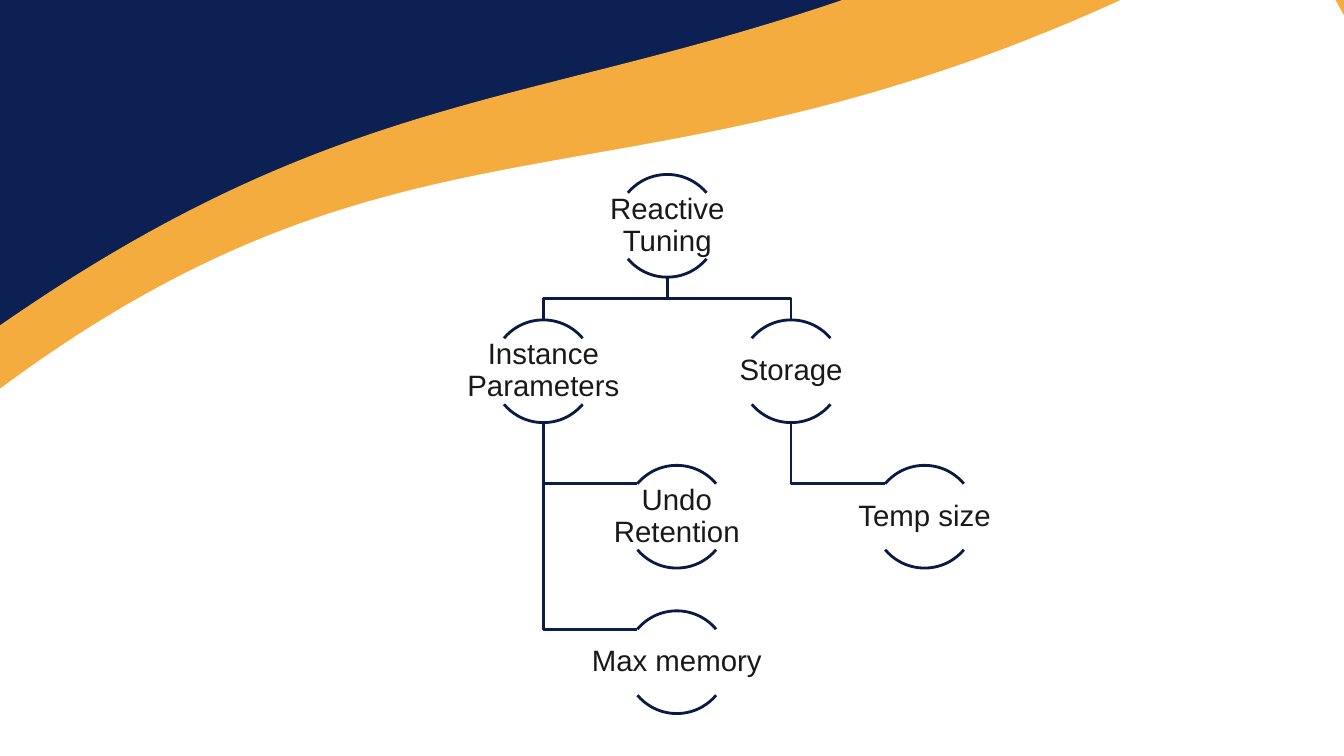
from dataclasses import dataclass
from math import cos, radians, sin
from typing import Optional

from pptx import Presentation
from pptx.dml.color import RGBColor
from pptx.enum import shapes, text
from pptx.util import Pt

NAVY = RGBColor(0x0C, 0x20, 0x54)
ORANGE = RGBColor(0xF3, 0xAC, 0x3D)
WHITE = RGBColor(0xFF, 0xFF, 0xFF)
OUTLINE = RGBColor(0x0A, 0x1A, 0x43)
BRANCH = RGBColor(0x0B, 0x1D, 0x4C)
INK = RGBColor(0x19, 0x19, 0x19)

# Chart geometry, in points
ROOT_X, TOP, ROW = 476.6, 124.6, 103.9
HALF_SPREAD, INDENT = 88.5, 95.3
RADIUS = 36.7
LABEL_W, LABEL_H, INSET = 146, 46.8, 0.72
LINE_W = 2
ARC_ENDS = ((220, 320), (40, 140))  # degrees, upper and lower arc
ADJ_PER_DEGREE = 0.6


@dataclass
class Wave:
    left: float
    top: float
    width: float
    height: float
    color: RGBColor


@dataclass
class Node:
    label: str
    x: float
    row: int
    parent: Optional["Node"] = None

    @property
    def top(self) -> float:
        return TOP + self.row * ROW

    @property
    def bottom(self) -> float:
        return self.top + 2 * RADIUS


WAVES = (
    Wave(-82.8, -12.2, 1155.6, 665.3, ORANGE),
    Wave(-35.3, 15.8, 1155.6, 866.2, WHITE),
)

root = Node("Reactive Tuning", ROOT_X, 0)
instance = Node("Instance Parameters", ROOT_X - HALF_SPREAD, 1, root)
storage = Node("Storage", ROOT_X + HALF_SPREAD, 1, root)
NODES = (
    root,
    instance,
    Node("Undo Retention", instance.x + INDENT, 2, instance),
    Node("Max memory", instance.x + INDENT, 3, instance),
    storage,
    Node("Temp size", storage.x + INDENT, 2, storage),
)


def draw_wave(s, wave: Wave) -> None:
    sp = s.shapes.add_shape(
        shapes.MSO_SHAPE.FLOWCHART_DOCUMENT,
        Pt(wave.left), Pt(wave.top), Pt(wave.width), Pt(wave.height))
    sp.rotation = 150.9
    sp._element.spPr.get_or_add_xfrm().set("flipH", "1")
    sp.fill.solid()
    sp.fill.fore_color.rgb = wave.color
    sp.line.fill.background()
    sp.shadow.inherit = False


def outline(sp, color: RGBColor) -> None:
    sp.fill.background()
    sp.line.color.rgb = color
    sp.line.width = Pt(LINE_W)
    sp.shadow.inherit = False


def draw_link(s, node: Node) -> None:
    parent = node.parent
    if parent is root:
        bus = (parent.bottom + node.top) / 2
        corners = [(parent.x, bus), (node.x, bus), (node.x, node.top)]
        color = OUTLINE
    else:
        # Meet the left tip of the upper arc
        tip_x = node.x - RADIUS * cos(radians(40))
        tip_y = node.top + RADIUS * (1 - sin(radians(40)))
        corners = [(parent.x, tip_y), (tip_x, tip_y)]
        color = BRANCH
    builder = s.shapes.build_freeform(Pt(parent.x), Pt(parent.bottom))
    builder.add_line_segments([(Pt(x), Pt(y)) for x, y in corners], close=False)
    outline(builder.convert_to_shape(), color)


def draw_node(s, node: Node) -> None:
    for ends in ARC_ENDS:
        sp = s.shapes.add_shape(
            shapes.MSO_SHAPE.ARC, Pt(node.x - RADIUS), Pt(node.top),
            Pt(2 * RADIUS), Pt(2 * RADIUS))
        for i, degrees in enumerate(ends):
            sp.adjustments[i] = degrees * ADJ_PER_DEGREE
        outline(sp, OUTLINE)

    sp = s.shapes.add_textbox(
        Pt(node.x - LABEL_W / 2), Pt(node.top + RADIUS - LABEL_H / 2),
        Pt(LABEL_W), Pt(LABEL_H))
    tf = sp.text_frame
    frame_format = {"word_wrap": True, "vertical_anchor": text.MSO_ANCHOR.MIDDLE}
    for side in ("left", "top", "right", "bottom"):
        frame_format[f"margin_{side}"] = Pt(INSET)
    for name, value in frame_format.items():
        setattr(tf, name, value)
    p = tf.paragraphs[0]
    p.alignment = text.PP_ALIGN.CENTER
    p.line_spacing = 0.9
    r = p.add_run()
    r.text = node.label
    for name, value in {"name": "Arial", "size": Pt(21)}.items():
        setattr(r.font, name, value)
    r.font.color.rgb = INK


def main() -> None:
    prs = Presentation()
    prs.slide_width, prs.slide_height = Pt(960), Pt(540)
    s = prs.slides.add_slide(prs.slide_layouts[6])

    # Background and waves
    s.background.fill.solid()
    s.background.fill.fore_color.rgb = NAVY
    for wave in WAVES:
        draw_wave(s, wave)

    # Links lie behind the nodes
    for node in NODES:
        if node.parent:
            draw_link(s, node)
    for node in NODES:
        draw_node(s, node)

    prs.save("out.pptx")


if __name__ == "__main__":
    main()
